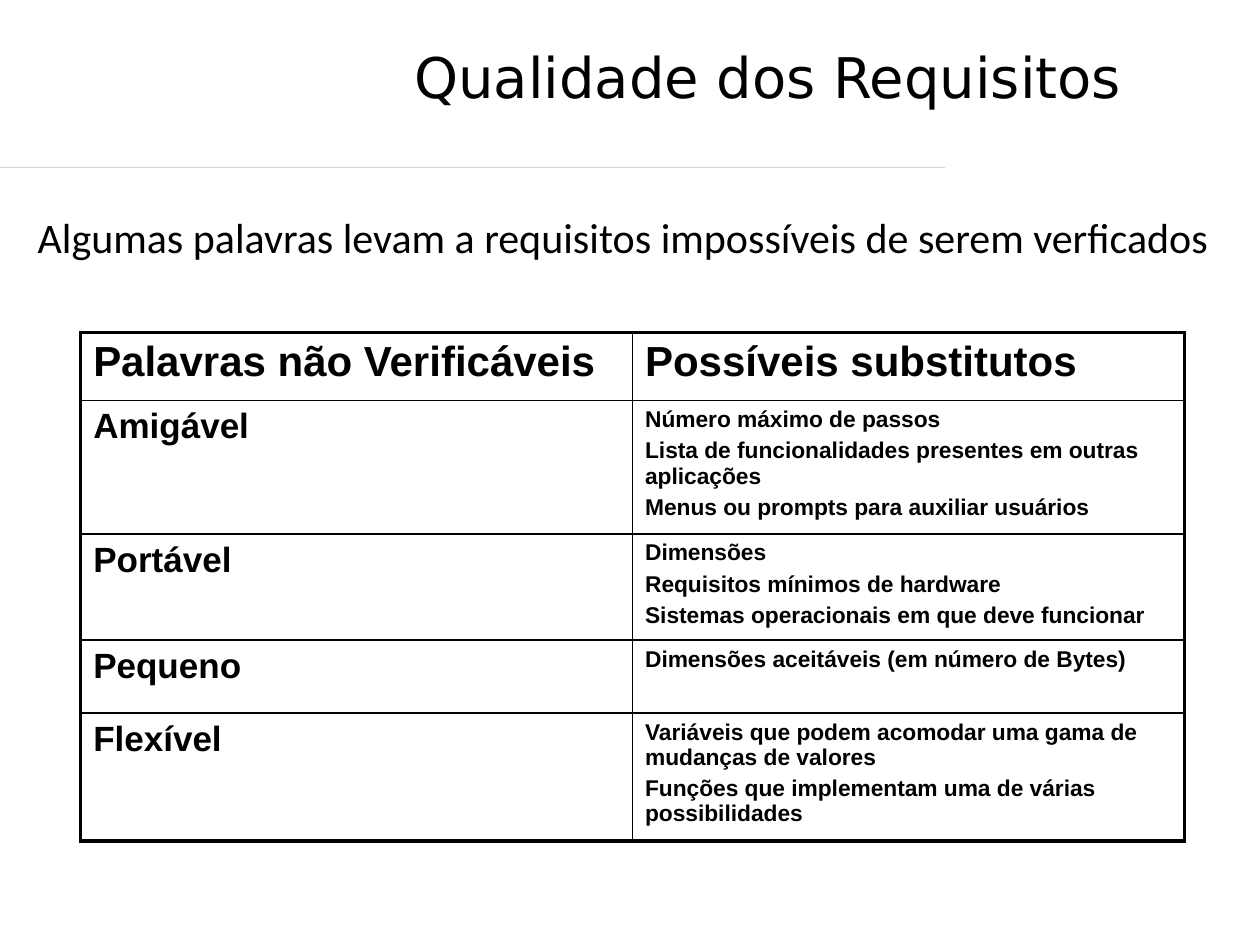
"""Build the slide on requirement quality with its table of unverifiable words."""
from pptx import Presentation
from pptx.dml.color import RGBColor
from pptx.enum.shapes import MSO_CONNECTOR
from pptx.enum.text import MSO_ANCHOR
from pptx.oxml.ns import qn
from pptx.util import Inches, Pt
from lxml.etree import SubElement, Element

BLACK = RGBColor(0x00, 0x00, 0x00)
RULE_BLUE = RGBColor(0xC4, 0xD6, 0xEB)

TITLE = "Qualidade dos Requisitos"
LEAD = "Algumas palavras levam a requisitos impossíveis de serem verficados"
HEADER = ("Palavras não Verificáveis", ["Possíveis substitutos"])
WORDS = [
    ("Amigável", ["Número máximo de passos",
                  "Lista de funcionalidades presentes em outras aplicações",
                  "Menus ou prompts para auxiliar usuários"]),
    ("Portável", ["Dimensões",
                  "Requisitos mínimos de hardware",
                  "Sistemas operacionais em que deve funcionar"]),
    ("Pequeno", ["Dimensões aceitáveis (em número de Bytes)"]),
    ("Flexível", ["Variáveis que podem acomodar uma gama de mudanças de valores",
                  "Funções que implementam uma de várias possibilidades"]),
]
ROW_HEIGHTS = [0.54, 0.94, 0.73, 0.58, 0.91]
COLUMN_WIDTH = 4.38
OUTER, INNER = 2.25, 1


def write(frame, lines, font_name, size, bold=False, before=0, after=0):
    frame.word_wrap = True
    frame.text = "\n".join(lines)
    for index, para in enumerate(frame.paragraphs):
        para.space_before = Pt(before * size if index else 0)
        para.space_after = Pt(after * size)
        for span in para.runs:
            span.font.name = font_name
            span.font.size = Pt(size)
            span.font.bold = bold
            span.font.color.rgb = BLACK


def add_text(page, text, font_name, size, left, top, width, height):
    box = page.shapes.add_textbox(Inches(left), Inches(top), Inches(width), Inches(height))
    box.text_frame.vertical_anchor = MSO_ANCHOR.TOP
    write(box.text_frame, [text], font_name, size)


def set_borders(cell, weights):
    properties = cell._tc.get_or_add_tcPr()
    for index, (side, weight) in enumerate(weights.items()):
        border = Element(qn(f"a:ln{side}"), w=str(Pt(weight)))
        SubElement(SubElement(border, qn("a:solidFill")), qn("a:srgbClr"), val=str(BLACK))
        properties.insert(index, border)


def add_word_table(page):
    rows = [HEADER] + WORDS
    last = len(rows) - 1
    table = page.shapes.add_table(len(rows), 2, Inches(0.64), Inches(2.64),
                                  Inches(2 * COLUMN_WIDTH), Inches(sum(ROW_HEIGHTS))).table
    table.first_row = table.horz_banding = False
    for column in table.columns:
        column.width = Inches(COLUMN_WIDTH)
    for row, (word, substitutes) in enumerate(rows):
        table.rows[row].height = Inches(ROW_HEIGHTS[row])
        for col, lines in enumerate(([word], substitutes)):
            cell = table.cell(row, col)
            cell.fill.background()
            set_borders(cell, {"L": INNER if col else OUTER, "R": OUTER if col else INNER,
                               "T": INNER if row else OUTER, "B": OUTER if row == last else INNER})
            if row and col:
                write(cell.text_frame, lines, "Arial", 13, True, 0.15, 0.1)
            else:
                write(cell.text_frame, lines, "Arial", 20 if row else 24, True, 0.25, 0.4)


def main():
    deck = Presentation()
    deck.slide_width, deck.slide_height = Inches(10), Inches(7.5)
    page = deck.slides.add_slide(deck.slide_layouts[6])
    rule = page.shapes.add_connector(MSO_CONNECTOR.STRAIGHT, 0, Inches(1.33), Inches(7.5), Inches(1.33))
    rule.line.color.rgb = RULE_BLUE
    rule.line.width = Pt(0.75)
    SubElement(rule._element.spPr, qn("a:effectLst"))
    add_text(page, LEAD, "Calibri", 24, 0.2, 1.63, 9.61, 5.4)
    add_word_table(page)
    add_text(page, TITLE, "DejaVu Sans", 32, 3.19, 0.29, 6.06, 0.87)
    deck.save("out.pptx")


if __name__ == "__main__":
    main()
